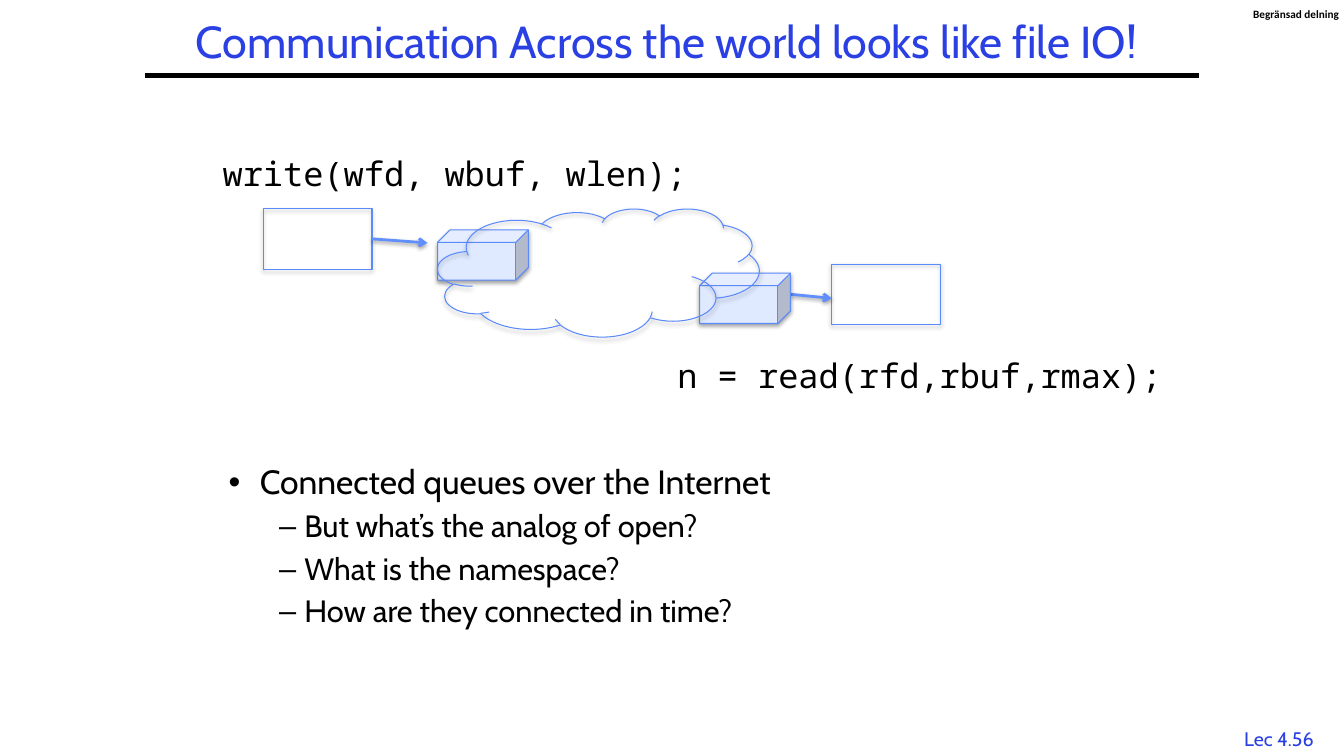
from lxml.etree import SubElement
from pptx import Presentation
from pptx.dml.color import RGBColor
from pptx.enum.shapes import MSO_CONNECTOR, MSO_SHAPE as SHAPE
from pptx.enum.text import MSO_ANCHOR as ANCHOR, MSO_AUTO_SIZE as AUTO, PP_ALIGN as ALIGN
from pptx.oxml.ns import qn
from pptx.util import Inches, Pt

BLUE, BLACK, EDGE, ARROW, PALE = "2A40E2", "000000", "5B8AFB", "618FFD", "DFE9FF"
SANS, MONO = "Cabin", "Noto Sans Mono"


def color(value):
    return RGBColor.from_string(value)


def box_of(*lengths):
    return [Inches(v) for v in lengths]


def style_font(font, size, name=SANS, fill=BLACK, bold=False):
    for key, value in {"size": Pt(size), "name": name, "bold": bold}.items():
        setattr(font, key, value)
    font.color.rgb = color(fill)


def set_frame(tf, wrap=True, anchor=ANCHOR.TOP, inset=(0.1, 0.05)):
    side, edge = box_of(*inset)
    values = {"word_wrap": wrap, "vertical_anchor": anchor, "auto_size": AUTO.NONE,
              "margin_left": side, "margin_right": side,
              "margin_top": edge, "margin_bottom": edge}
    for key, value in values.items():
        setattr(tf, key, value)


def add_label(s, box, text, size, align=ALIGN.LEFT, wrap=True, inset=(0.1, 0.05), **font):
    tf = s.shapes.add_textbox(*box_of(*box)).text_frame
    set_frame(tf, wrap, inset=inset)
    p = tf.paragraphs[0]
    p.text, p.alignment = text, align
    style_font(p.runs[0].font, size, **font)


def add_effects(sp, distance=None, alpha=None):
    """Give a shape a soft shadow below it, or no shadow at all."""
    effects = SubElement(sp._element.spPr, qn("a:effectLst"))
    if distance:
        shadow = SubElement(effects, qn("a:outerShdw"), blurRad=str(Pt(3.1)),
                            dist=str(Pt(distance)), dir="5400000", rotWithShape="0")
        black = SubElement(shadow, qn("a:srgbClr"), val=BLACK)
        SubElement(black, qn("a:alpha"), val=str(alpha * 1000))


def add_line(s, start, end, fill, width):
    sp = s.shapes.add_connector(MSO_CONNECTOR.STRAIGHT, *box_of(*start, *end))
    sp.line.color.rgb = color(fill)
    sp.line.width = Pt(width)
    return sp


def add_arrow(s, start, end):
    sp = add_line(s, start, end, ARROW, 2)
    SubElement(sp.line._get_or_add_ln(), qn("a:tailEnd"), type="arrow")
    add_effects(sp, 1.6, 38)


def add_part(s, kind, box, fill=None):
    sp = s.shapes.add_shape(kind, *box_of(*box))
    if fill:
        sp.fill.solid()
        sp.fill.fore_color.rgb = color(fill)
    else:
        sp.fill.background()
    sp.line.color.rgb = color(EDGE)
    sp.line.width = Pt(0.75)
    add_effects(sp, 1.8, 35)


def add_header(s, left, top, width, height):
    # Title and the rule under it
    title = s.shapes.title
    title.left, title.top, title.width, title.height = box_of(left, top, width, height)
    set_frame(title.text_frame, anchor=ANCHOR.MIDDLE)
    p = title.text_frame.paragraphs[0]
    p.text, p.alignment, p.line_spacing = (
        "Communication Across the world looks like file IO! ", ALIGN.CENTER, 0.9)
    style_font(p.runs[0].font, 32, fill=BLUE)
    bottom = top + height
    add_effects(add_line(s, (left + 0.44, bottom), (left + width - 0.44, bottom), BLACK, 3))


def add_diagram(s, left, top):
    # Calls made at the two ends
    add_label(s, (left, top, 5.11, 0.5), "write(wfd, wbuf, wlen);", 24, name=MONO)
    add_label(s, (left + 4.51, top + 2, 5.05, 0.5), "n = read(rfd,rbuf,rmax);", 24, name=MONO)

    # Hosts, gateways and the arrows between them
    host, gateway = (1.08, 0.6), (0.9, 0.5)
    writer, reader = (left + 0.5, top + 0.6), (left + 6.14, top + 1.15)
    entry, way_out = (left + 2.23, top + 0.81), (left + 4.83, top + 1.24)
    add_part(s, SHAPE.CUBE, entry + gateway, PALE)
    add_part(s, SHAPE.RECTANGLE, writer + host)
    add_arrow(s, (writer[0] + host[0], writer[1] + 0.3), (entry[0] - 0.1, entry[1] + 0.13))
    add_part(s, SHAPE.RECTANGLE, reader + host)
    add_arrow(s, (way_out[0] + gateway[0], way_out[1] + 0.21), (reader[0], reader[1] + 0.34))
    add_part(s, SHAPE.CUBE, way_out + gateway, PALE)

    # Network cloud
    add_part(s, SHAPE.CLOUD, (entry[0], writer[1], 3.19, 1.27))


def add_bullets(s, left, top, width, height):
    # Text, level
    items = [("Connected queues over the Internet", 0),
             ("But what’s the analog of open?", 1),
             ("What is the namespace?", 1),
             ("How are they connected in time?", 1)]
    # Size, bullet, text indent and hanging indent of each level
    levels = [(24, "•", 0.31, 0.31), (22, "–", 0.75, 0.25)]
    tf = s.shapes.add_textbox(*box_of(left, top, width, height)).text_frame
    set_frame(tf)
    for i, (text, level) in enumerate(items):
        size, mark, margin, hang = levels[level]
        p = tf.add_paragraph() if i else tf.paragraphs[0]
        p.text, p.level, p.line_spacing = text, level, 0.9
        p.space_before = Pt(0.3 * size if i else 0)
        pPr = p._p.get_or_add_pPr()
        pPr.set("marL", str(Inches(margin)))
        pPr.set("indent", str(-Inches(hang)))
        SubElement(pPr, qn("a:buFont"), typeface="Arial")
        SubElement(pPr, qn("a:buChar"), char=mark)
        style_font(p.runs[0].font, size)


def add_marks(s):
    # Page number and sharing label
    add_label(s, (12.2, 7.16, 0.97, 0.33), "Lec 4.56", 14, ALIGN.CENTER, wrap=False, fill=BLUE)
    add_label(s, (12.43, 0.07, 0.86, 0.13), "Begränsad delning", 8, wrap=False,
              inset=(0, 0), name="Calibri", bold=True)


def main():
    prs = Presentation()
    prs.slide_width, prs.slide_height = box_of(13.33, 7.5)
    s = prs.slides.add_slide(prs.slide_layouts[5])
    add_marks(s)
    add_header(s, 1, 0.13, 11.33, 0.62)
    add_bullets(s, 2.17, 4.57, 9, 2.32)
    add_diagram(s, 2.11, 1.47)
    prs.save("out.pptx")


if __name__ == "__main__":
    main()
